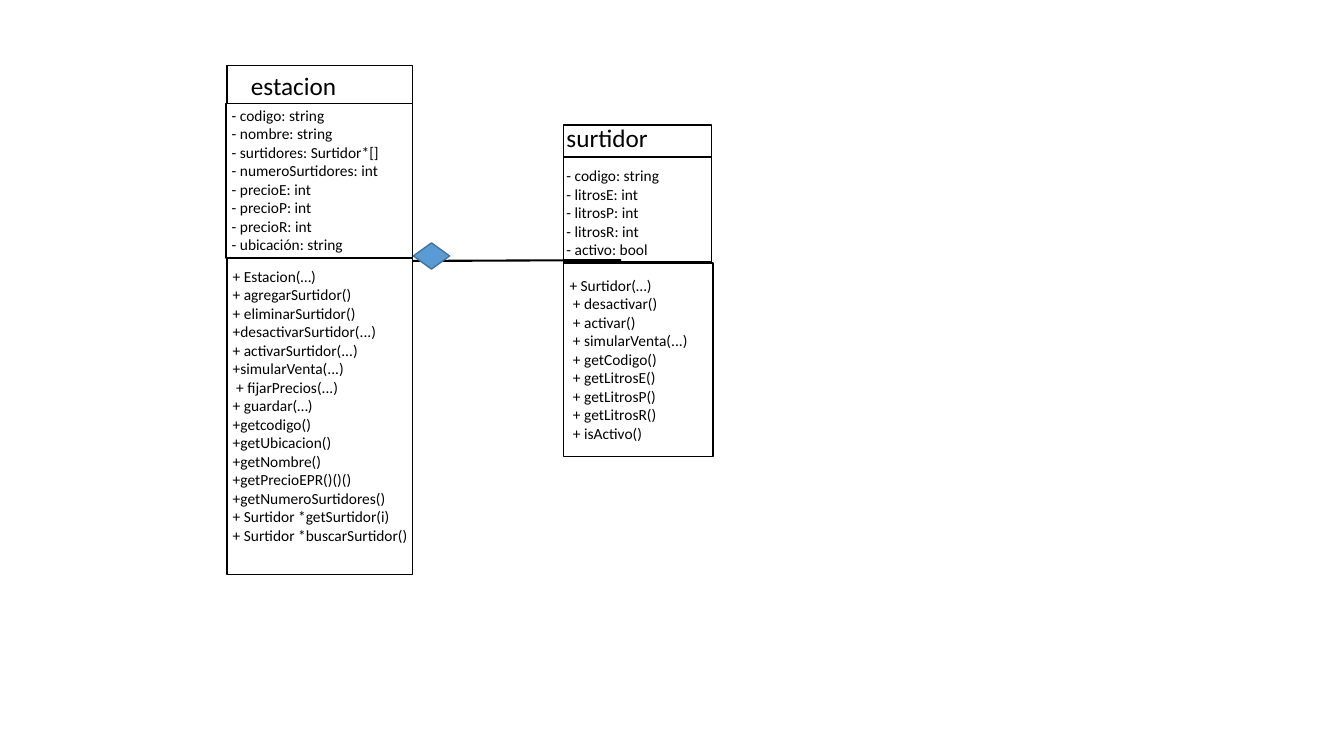
from dataclasses import dataclass
from typing import Any, Optional

from lxml.etree import SubElement
from pptx import Presentation
from pptx.dml.color import RGBColor
from pptx.enum.shapes import MSO_CONNECTOR as Connector, MSO_SHAPE as Preset
from pptx.enum.text import MSO_AUTO_SIZE as AutoSize, PP_ALIGN as Align
from pptx.oxml.ns import qn
from pptx.util import Inches, Pt

BLACK, WHITE, BLUE, DARK_BLUE = "000000", "FFFFFF", "5B9BD5", "43739E"
Area = tuple[float, float, float, float]  # left, top, width, height


@dataclass(frozen=True)
class Compartment:
    box: Area
    text_area: Area
    lines: tuple[str, ...]
    size: int = 11
    fill: Optional[str] = WHITE


def color(code: str) -> RGBColor:
    return RGBColor.from_string(code)


def apply(target: Any, values: dict[str, Any]) -> None:
    for name, value in values.items():
        setattr(target, name, value)


def add_box(page: Any, preset: Any, area: Area, fill: Optional[str], line: str) -> None:
    box = page.shapes.add_shape(preset, *map(Inches, area))
    box.shadow.inherit = False
    if fill:
        box.fill.solid()
        box.fill.fore_color.rgb = color(fill)
    else:
        box.fill.background()
    box.line.color.rgb = color(line)
    box.line.width = Pt(1)


def add_text(page: Any, area: Area, lines: tuple[str, ...], size: int) -> None:
    frame = page.shapes.add_textbox(*map(Inches, area)).text_frame
    apply(frame, {"word_wrap": True, "auto_size": AutoSize.SHAPE_TO_FIT_TEXT})
    for index, line in enumerate(lines):
        para = frame.add_paragraph() if index else frame.paragraphs[0]
        para.alignment = Align.LEFT
        span = para.add_run()
        span.text = line
        apply(span.font, {"name": "Calibri", "size": Pt(size)})
        span.font.color.rgb = color(BLACK)


def add_class(page: Any, compartments: tuple[Compartment, ...]) -> None:
    for part in compartments:
        add_box(page, Preset.RECTANGLE, part.box, part.fill, BLACK)
    for part in compartments:
        add_text(page, part.text_area, part.lines, part.size)


def add_arrow(page: Any, start: tuple[float, float], end: tuple[float, float]) -> None:
    arrow = page.shapes.add_connector(Connector.STRAIGHT, *map(Inches, start + end))
    arrow.line.color.rgb = color(BLACK)
    arrow.line.width = Pt(1.5)
    SubElement(arrow.line._get_or_add_ln(), qn("a:tailEnd"), type="triangle")
    SubElement(arrow._element.spPr, qn("a:effectLst"))


SURTIDOR = (
    Compartment((5.59, 1.24, 1.47, 0.31), (5.52, 1.16, 1.86, 0.4),
                ("surtidor",), size=18, fill=None),
    Compartment((5.59, 1.56, 1.47, 1.04), (5.52, 1.6, 1.86, 1.03), (
        "- codigo: string",
        "- litrosE: int",
        "- litrosP: int",
        "- litrosR: int",
        "- activo: bool",
    )),
    Compartment((5.59, 2.61, 1.48, 1.92), (5.55, 2.69, 2.12, 2.07), (
        "+ Surtidor(…)",
        " + desactivar()",
        " + activar()",
        " + simularVenta(...)",
        " + getCodigo()",
        " + getLitrosE()",
        " + getLitrosP()",
        " + getLitrosR()",
        " + isActivo()",
    )),
)

ESTACION = (
    Compartment((2.25, 0.65, 1.84, 0.38), (2.39, 0.65, 1.25, 0.4),
                ("estacion",), size=18),
    Compartment((2.24, 1.03, 1.85, 1.53), (2.2, 1, 1.79, 1.77), (
        "- codigo: string",
        "- nombre: string",
        "- surtidores: Surtidor*[]",
        "- numeroSurtidores: int",
        "- precioE: int",
        "- precioP: int",
        "- precioR: int",
        "- ubicación: string",
    )),
    Compartment((2.25, 2.56, 1.84, 3.14), (2.21, 2.6, 2.17, 3.43), (
        "+ Estacion(…)",
        "+ agregarSurtidor()",
        "+ eliminarSurtidor()",
        "+desactivarSurtidor(...)",
        "+ activarSurtidor(...)",
        "+simularVenta(...)",
        " + fijarPrecios(...)",
        "+ guardar(…)",
        "+getcodigo()",
        "+getUbicacion()",
        "+getNombre()",
        "+getPrecioEPR()()()",
        "+getNumeroSurtidores()",
        "+ Surtidor *getSurtidor(i)",
        "+ Surtidor *buscarSurtidor()",
    )),
)


def main() -> None:
    deck = Presentation()
    apply(deck, {"slide_width": Inches(13.33), "slide_height": Inches(7.5)})
    page = deck.slides.add_slide(deck.slide_layouts[6])

    # Contained class
    add_class(page, SURTIDOR)

    # Composition link, its end tucked under the owner class
    add_arrow(page, (6.16, 2.58), (3.89, 2.59))
    add_box(page, Preset.FLOWCHART_DECISION, (4.1, 2.41, 0.36, 0.26), BLUE, DARK_BLUE)

    # Owner class
    add_class(page, ESTACION)

    deck.save("out.pptx")


if __name__ == "__main__":
    main()
